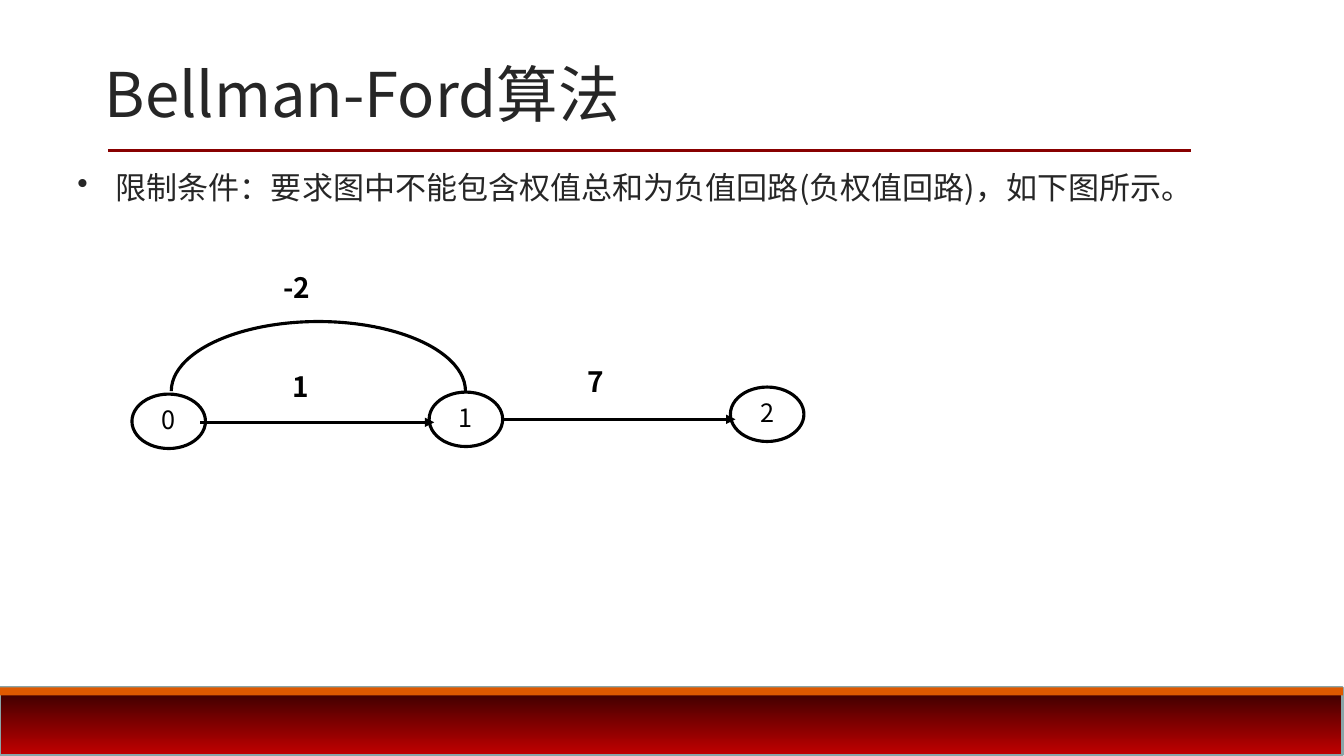
from lxml import etree
from pptx import Presentation
from pptx.dml.color import RGBColor
from pptx.enum.shapes import MSO_CONNECTOR, MSO_SHAPE
from pptx.enum.text import MSO_ANCHOR, PP_ALIGN
from pptx.oxml.ns import qn
from pptx.util import Inches, Pt

FONT = "Noto Sans CJK SC"
INK = "262626"
BLACK = "000000"
NODE_WIDTH, NODE_HEIGHT = 0.73, 0.54


def color(value):
    """Turn a hex string into a colour."""
    return RGBColor.from_string(value)


def style_line(line, value, width):
    """Set the colour and width of a line."""
    line.color.rgb = color(value)
    line.width = Pt(width)


def write(shape, text, size, ink, margins=(0, 0, 0, 0), anchor=MSO_ANCHOR.TOP,
          align=PP_ALIGN.LEFT, spacing=None, bold=False, wrap=False):
    """Write one styled paragraph into a shape and return it."""
    frame = shape.text_frame
    frame.word_wrap = wrap
    frame.vertical_anchor = anchor
    (frame.margin_left, frame.margin_top,
     frame.margin_right, frame.margin_bottom) = map(Inches, margins)
    para = frame.paragraphs[0]
    para.alignment = align
    para.line_spacing = spacing
    span = para.add_run()
    span.text = text
    properties = span._r.get_or_add_rPr()
    etree.SubElement(properties, qn("a:ea")).set("typeface", FONT)
    para.font.name = FONT
    para.font.size = Pt(size)
    para.font.bold = bold
    para.font.color.rgb = color(ink)
    return para


def add_text(page, box, text, size, ink, **options):
    """Add a text box and return its paragraph."""
    shape = page.shapes.add_textbox(*map(Inches, box))
    return write(shape, text, size, ink, **options)


def add_preset(page, kind, box):
    """Add a preset shape without fill or shadow."""
    shape = page.shapes.add_shape(kind, *map(Inches, box))
    shape.shadow.inherit = False
    shape.fill.background()
    return shape


def add_line(page, start, end, value, width, arrow=False):
    """Add a straight line, with an arrowhead at its end if asked."""
    line = page.shapes.add_connector(MSO_CONNECTOR.STRAIGHT, *map(Inches, start + end))
    style_line(line.line, value, width)
    if arrow:
        etree.SubElement(line.line._get_or_add_ln(), qn("a:tailEnd")).set("type", "triangle")
    etree.SubElement(line._element.spPr, qn("a:effectLst"))


def add_footer(page, box):
    """Draw the gradient band with its orange strip on top."""
    left, top, width, height = box
    band = add_preset(page, MSO_SHAPE.RECTANGLE, box)
    band.fill.gradient()
    band.fill.gradient_angle = 270
    for stop, position, value in zip(band.fill.gradient_stops, (0, 1), ("340000", "C00000")):
        stop.position = position
        stop.color.rgb = color(value)
    style_line(band.line, "89A4A7", 2)
    strip = add_preset(page, MSO_SHAPE.RECTANGLE, (left, top, width, 0.08))
    strip.fill.solid()
    strip.fill.fore_color.rgb = color("DE5900")
    strip.line.fill.background()


def add_title(page, box):
    """Place the title and the rule under it."""
    left, top, width, height = box
    add_line(page, (left + 0.4, top + 1.19), (left + 11.15, top + 1.19), "880000", 2)
    add_text(page, box, "Bellman-Ford算法", 44, INK, margins=(0.37, 0.05, 0.1, 0.05),
             anchor=MSO_ANCHOR.MIDDLE, wrap=True)


def add_condition(page, box):
    """Place the bulleted restriction."""
    para = add_text(page, box, "限制条件：要求图中不能包含权值总和为负值回路(负权值回路)，如下图所示。",
                    22.2, INK, margins=(0.1, 0.05, 0.1, 0.05), wrap=True)
    properties = para._p.get_or_add_pPr()
    properties.set("marL", str(Inches(0.38)))
    properties.set("indent", str(-Inches(0.38)))
    bullet = etree.Element(qn("a:buChar"))
    bullet.set("char", "•")
    properties.insert(0, bullet)


def add_graph(page, box):
    """Draw the three nodes, their edges and the edge weights."""
    left, top, width, height = box
    for name, x, y in (("0", 0, 1.19), ("1", 2.95, 1.17), ("2", 5.94, 1.12)):
        node = add_preset(page, MSO_SHAPE.OVAL, (left + x, top + y, NODE_WIDTH, NODE_HEIGHT))
        style_line(node.line, BLACK, 2.25)
        write(node, name, 18, BLACK, anchor=MSO_ANCHOR.MIDDLE,
              align=PP_ALIGN.CENTER, spacing=0.9)
    for start, end, y in ((0.68, 3, 1.47), (3.68, 5.99, 1.44)):
        add_line(page, (left + start, top + y), (left + end, top + y), BLACK, 2.25, arrow=True)
    arc = add_preset(page, MSO_SHAPE.ARC, (left + 0.39, top + 0.47, 2.92, 1.38))
    arc.adjustments[0] = 108
    arc.adjustments[1] = 0
    style_line(arc.line, BLACK, 2.25)
    for weight, x, y, span in (("-2", 1.5, 0, 0.27), ("1", 1.59, 0.98, 0.16),
                               ("7", 4.52, 0.93, 0.16)):
        add_text(page, (left + x, top + y, span, 0.3), weight, 20, BLACK,
                 spacing=0.9, bold=True)


def main():
    """Build the slide and save it."""
    deck = Presentation()
    deck.slide_width, deck.slide_height = Inches(13.34), Inches(7.5)
    page = deck.slides.add_slide(deck.slide_layouts[6])
    add_footer(page, (0, 6.82, 13.33, 0.67))
    add_title(page, (0.67, 0.3, 12, 1.25))
    add_condition(page, (0.67, 1.62, 12, 0.81))
    add_graph(page, (1.31, 2.72, 6.67, 1.73))
    deck.save("out.pptx")


if __name__ == "__main__":
    main()
